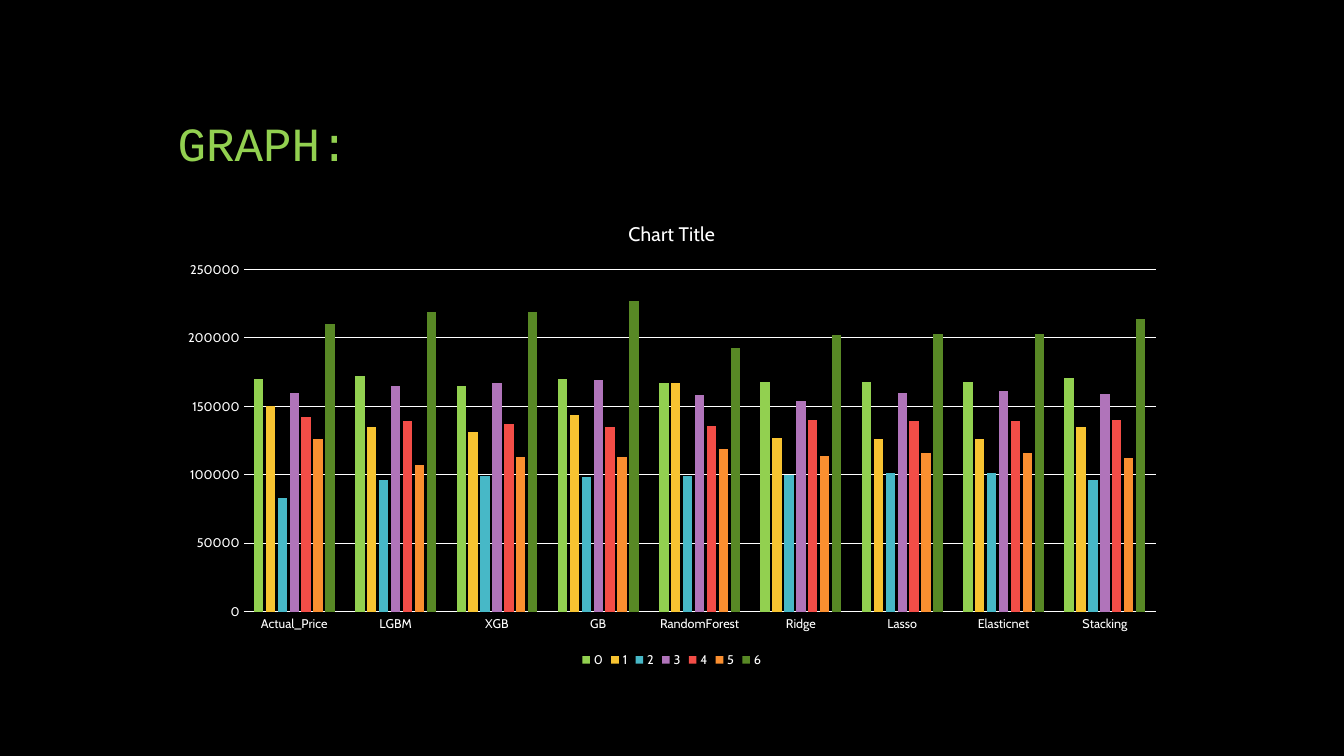
from pptx import Presentation
from pptx.chart.data import CategoryChartData
from pptx.dml.color import RGBColor
from pptx.enum.chart import XL_CHART_TYPE, XL_LEGEND_POSITION, XL_TICK_MARK
from pptx.enum.text import MSO_ANCHOR
from pptx.util import Cm, Pt

COLORS = {"background": "000000", "heading": "92D050", "text": "FFFFFF"}
SERIES_COLORS = {
    "0": "92D050", "1": "F7C331", "2": "47B8C7", "3": "B074BA",
    "4": "F34D47", "5": "FA8F30", "6": "588825",
}
# Seven sample prices for each model, one for each series
PRICES = {
    "Actual_Price": (170000, 150000, 83000, 160000, 142000, 126000, 210000),
    "LGBM": (172000, 135000, 96000, 165000, 139000, 107000, 219000),
    "XGB": (165000, 131000, 99000, 167000, 137000, 113000, 219000),
    "GB": (170000, 144000, 98000, 169000, 135000, 113000, 227000),
    "RandomForest": (167000, 167000, 99000, 158000, 136000, 119000, 193000),
    "Ridge": (168000, 127000, 100000, 154000, 140000, 114000, 202000),
    "Lasso": (168000, 126000, 101000, 160000, 139000, 116000, 203000),
    "Elasticnet": (168000, 126000, 101000, 161000, 139000, 116000, 203000),
    "Stacking": (171000, 135000, 96000, 159000, 140000, 112000, 214000),
}


def color(name):
    return RGBColor.from_string(COLORS[name])


def style_font(font, size, name="Cabin", color_name="text"):
    font.size = Pt(size)
    font.name = name
    font.bold = False
    font.color.rgb = color(color_name)


def style_line(line):
    line.color.rgb = color("text")
    line.width = Pt(0.75)


def add_heading(slide, left, top, width, height):
    frame = slide.shapes.add_textbox(left, top, width, height).text_frame
    frame.word_wrap = True
    frame.vertical_anchor = MSO_ANCHOR.BOTTOM
    paragraph = frame.paragraphs[0]
    paragraph.line_spacing = 0.9
    run = paragraph.add_run()
    run.text = "GRAPH:"
    style_font(run.font, 34, "Courier New", "heading")


def style_axes(chart):
    for axis in (chart.category_axis, chart.value_axis):
        axis.major_tick_mark = axis.minor_tick_mark = XL_TICK_MARK.NONE
        style_font(axis.tick_labels.font, 9)
    chart.category_axis.has_major_gridlines = False
    style_line(chart.category_axis.format.line)
    values = chart.value_axis
    values.minimum_scale, values.maximum_scale, values.major_unit = 0, 250000, 50000
    values.format.line.fill.background()
    values.has_major_gridlines = True
    style_line(values.major_gridlines.format.line)


def add_price_chart(slide, left, top, width, height):
    data = CategoryChartData()
    data.categories = PRICES.keys()
    for name, values in zip(SERIES_COLORS, zip(*PRICES.values())):
        data.add_series(name, values)
    chart = slide.shapes.add_chart(
        XL_CHART_TYPE.COLUMN_CLUSTERED, left, top, width, height, data
    ).chart
    style_font(chart.font, 10)

    chart.has_title = True
    run = chart.chart_title.text_frame.paragraphs[0].add_run()
    run.text = "Chart Title"
    style_font(run.font, 14)
    chart.chart_title.include_in_layout = False

    chart.has_legend = True
    chart.legend.position = XL_LEGEND_POSITION.BOTTOM
    chart.legend.include_in_layout = False
    style_font(chart.legend.font, 9)
    style_axes(chart)

    plot = chart.plots[0]
    plot.vary_by_categories = False
    plot.gap_width = 219
    plot.overlap = -27
    for series in plot.series:
        series.format.fill.solid()
        series.format.fill.fore_color.rgb = RGBColor.from_string(SERIES_COLORS[series.name])


def build_graph_slide(presentation):
    slide = presentation.slides.add_slide(presentation.slide_layouts[6])
    slide.background.fill.solid()
    slide.background.fill.fore_color.rgb = color("background")
    left, width = Cm(4.23), Cm(25.4)
    add_heading(slide, left, Cm(1.27), width, Cm(3.18))
    add_price_chart(slide, left, Cm(5.08), width, Cm(11.85))


def main():
    presentation = Presentation()
    presentation.slide_width, presentation.slide_height = Cm(33.87), Cm(19.05)
    build_graph_slide(presentation)
    presentation.save("out.pptx")


if __name__ == "__main__":
    main()
